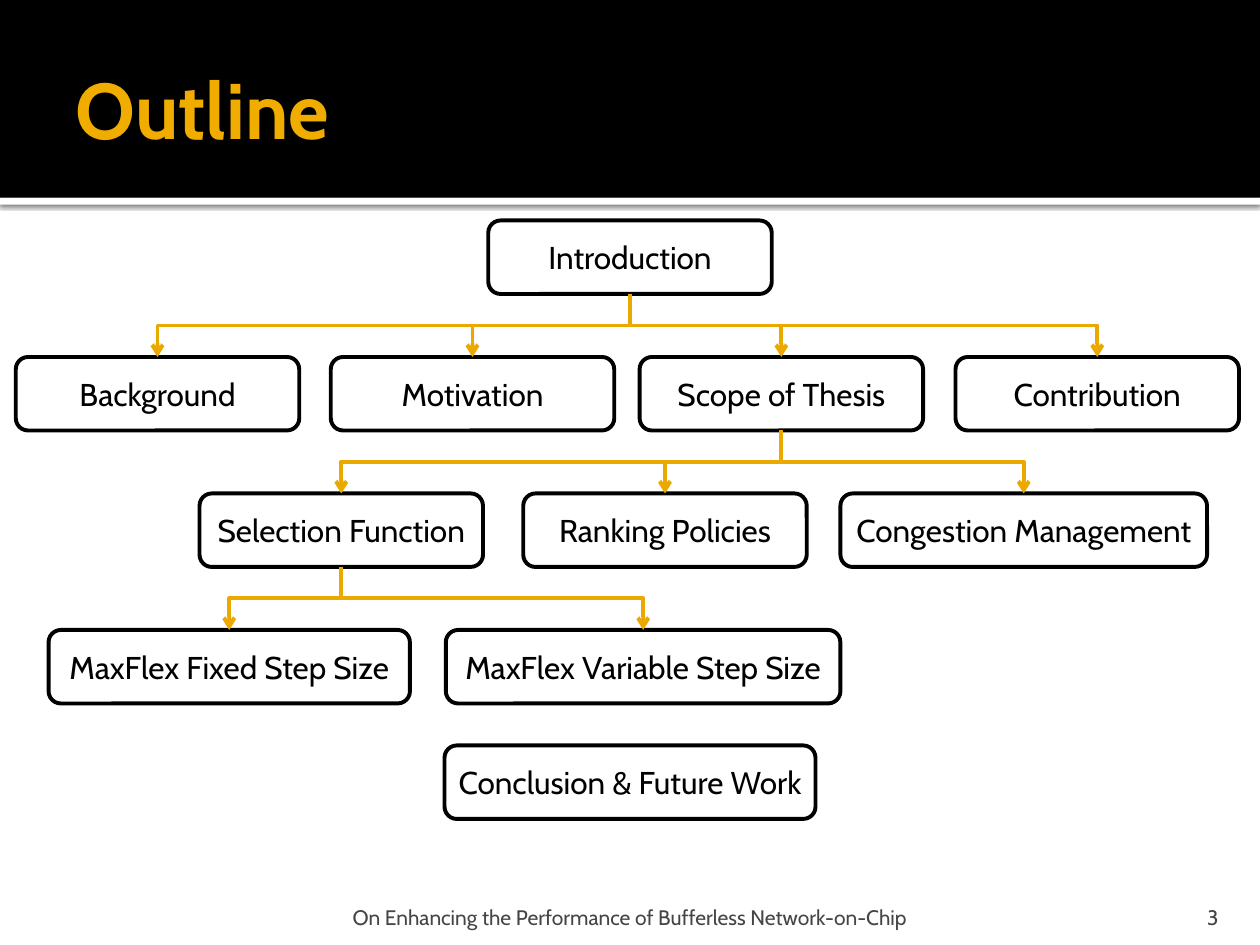
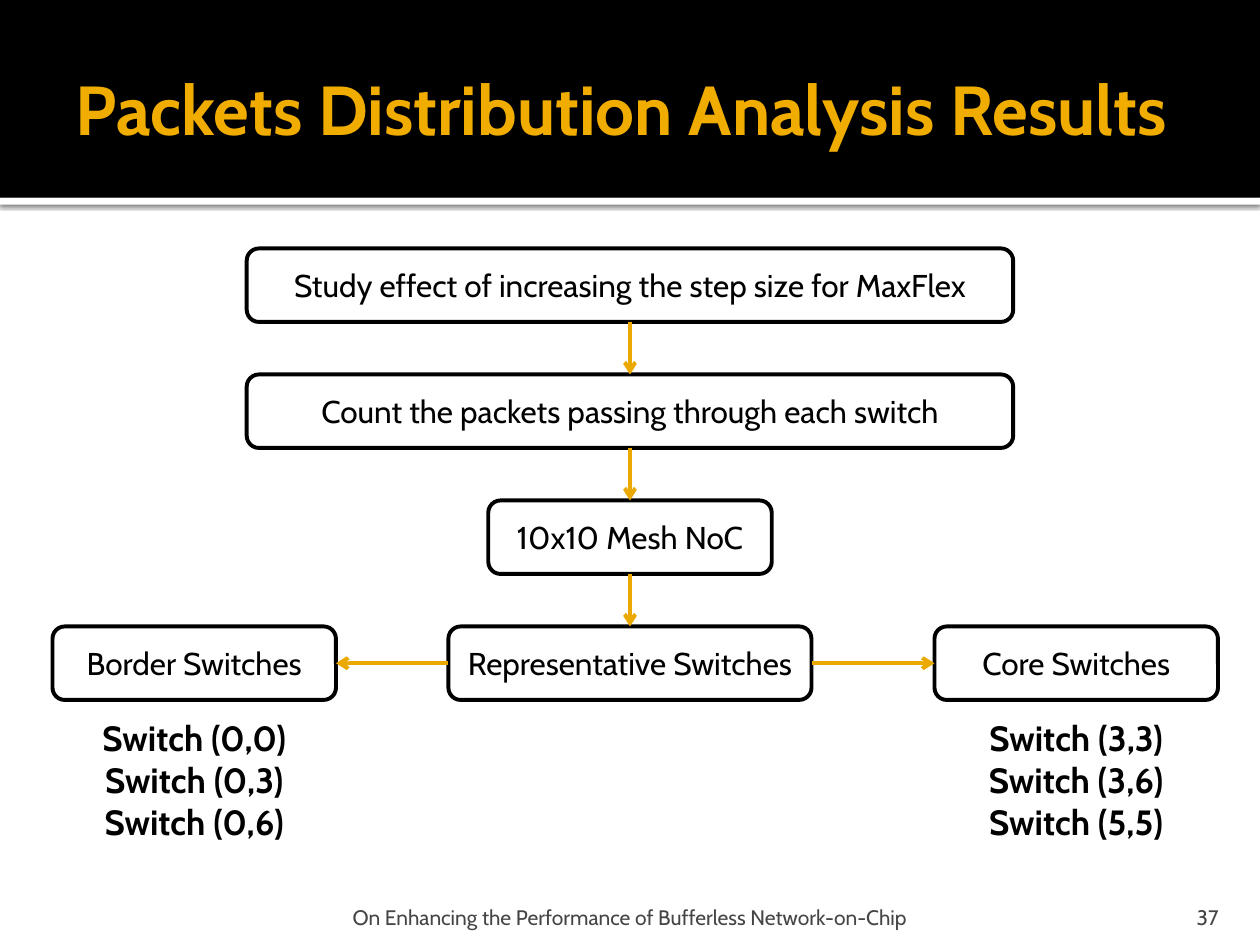
from collections import namedtuple
from dataclasses import dataclass

from lxml.etree import SubElement as Sub
from pptx import Presentation
from pptx.dml.color import RGBColor as Color
from pptx.enum.shapes import MSO_CONNECTOR as Link, MSO_SHAPE as Form
from pptx.enum.text import MSO_ANCHOR as Anchor, MSO_AUTO_SIZE as Fit, PP_ALIGN as Align
from pptx.oxml.ns import qn
from pptx.util import Pt

Box = namedtuple("Box", "x y w h")
TOP, LEFT, BOTTOM, RIGHT = range(4)


@dataclass(frozen=True)
class Theme:
    font: str = "Cabin"
    black: str = "000000"
    white: str = "FFFFFF"
    gold: str = "F0AD00"
    arrow: str = "EBA900"
    gray: str = "454545"
    head: float = 45
    node: float = 18
    list: float = 20
    foot: float = 12
    line: float = 2.25


look = Theme()
PAGE = Box(0, 0, 720, 540)
NODE = Box(0, 0, 162, 42)


def rgb(code):
    return Color.from_string(code)


def span(box):
    return [Pt(part) for part in box]


def write(frame, *lines, size, color=look.black, bold=False, align=Align.CENTER,
          anchor=Anchor.MIDDLE, inset=(7.2, 3.6, 7.2, 3.6)):
    frame.word_wrap = True
    frame.auto_size = Fit.NONE
    frame.vertical_anchor = anchor
    (frame.margin_left, frame.margin_top,
     frame.margin_right, frame.margin_bottom) = span(inset)
    for row, line in enumerate(lines):
        para = frame.add_paragraph() if row else frame.paragraphs[0]
        para.alignment = align
        run = para.add_run()
        run.text = line
        font = run.font
        font.name, font.size, font.bold = look.font, Pt(size), bold
        font.color.rgb = rgb(color)


def label(slide, box, *lines, **style):
    write(slide.shapes.add_textbox(*span(box)).text_frame, *lines, **style)


def block(slide, form, box, fill, edge=None):
    shape = slide.shapes.add_shape(form, *span(box))
    shape.shadow.inherit = False
    shape.fill.solid()
    shape.fill.fore_color.rgb = rgb(fill)
    if edge:
        shape.line.color.rgb = rgb(edge)
        shape.line.width = Pt(look.line)
    else:
        shape.line.fill.background()
    return shape


def bands(slide, master, box):
    strip = block(slide, Form.RECTANGLE, Box(box.x, box.y + box.h, box.w, 4), look.white)
    cast = strip._element.spPr.find(qn("a:effectLst"))
    blur = Sub(cast, qn("a:outerShdw"), blurRad=str(Pt(2.5)), dist=str(Pt(0.8)),
               dir="5400000", algn="t", rotWithShape="0")
    tint = Sub(blur, qn("a:srgbClr"), val=look.black)
    Sub(tint, qn("a:alpha"), val="60000")
    banner = block(slide, Form.RECTANGLE, box, look.black)
    for place, shape in enumerate((strip, banner)):
        shape._element.nvSpPr.cNvPr.set("id", str(20 + place))
        master.shapes._spTree.insert(2 + place, shape._element)


def header(slide, box, text, size):
    title = slide.shapes.title
    title.left, title.top, title.width, title.height = span(box)
    write(title.text_frame, text, size=size, color=look.gold, bold=True,
          align=Align.LEFT, inset=(7.2, 3.6, 3.6, 3.6))


def footer(slide, box, number):
    style = dict(size=look.foot, color=look.gray, anchor=Anchor.BOTTOM)
    label(slide, Box(box.x + 143.5, box.y, 433, box.h),
          "On Enhancing the Performance of Bufferless Network-on-Chip",
          inset=(3.6, 3.6, 3.6, 0), **style)
    label(slide, Box(box.x + 646, box.y, 57.5, box.h), number,
          align=Align.RIGHT, inset=(7.2, 3.6, 7.2, 0), **style)


def node(slide, box, text, mid, width=NODE.w, top=0):
    spot = Box(box.x + mid - width / 2, box.y + top, width, NODE.h)
    shape = block(slide, Form.ROUNDED_RECTANGLE, spot, look.white, look.black)
    write(shape.text_frame, text, size=look.node, inset=(2, 3.6, 2, 3.6))
    return shape


def bend(wire):
    across = wire.end_x - wire.begin_x
    down = wire.end_y - wire.begin_y
    mid_x = (wire.begin_x + wire.end_x) // 2
    mid_y = (wire.begin_y + wire.end_y) // 2
    wide = abs(across)
    wire.left, wire.top = mid_x - down // 2, mid_y - wide // 2
    wire.width, wire.height = down, wide
    frame = wire._element.spPr.find(qn("a:xfrm"))
    frame.set("rot", "16200000" if across > 0 else "5400000")
    frame.set("flipH", "1" if across > 0 else "0")
    frame.set("flipV", "0")


def join(slide, start, end, out=BOTTOM, into=TOP, kind=Link.STRAIGHT):
    wire = slide.shapes.add_connector(kind, 0, 0, 0, 0)
    wire.begin_connect(start, out)
    wire.end_connect(end, into)
    if kind == Link.ELBOW:
        bend(wire)
    wire.line.color.rgb = rgb(look.arrow)
    wire.line.width = Pt(look.line)
    Sub(wire.line._get_or_add_ln(), qn("a:tailEnd"), type="arrow")
    Sub(wire._element.spPr, qn("a:effectLst"))


def tree(slide, box, rows, step):
    parent = None
    for level, (row, heir) in enumerate(rows):
        nodes = [node(slide, box, *item, top=level * step) for item in row]
        if parent is not None:
            for child in nodes:
                join(slide, parent, child, kind=Link.ELBOW)
        parent = nodes[heir]


def flow(slide, box, steps, sides, step):
    chain = [node(slide, box, *item, top=row * step) for row, item in enumerate(steps)]
    for start, end in zip(chain, chain[1:]):
        join(slide, start, end)
    low = (len(steps) - 1) * step
    for text, mid, out, into, items in sides:
        side = node(slide, box, text, mid, top=low)
        join(slide, chain[-1], side, out, into)
        label(slide, Box(box.x + mid - 59, box.y + low + 48, 118, 80), *items,
              size=look.list, bold=True, anchor=Anchor.TOP,
              inset=(2, 3.6, 2, 3.6))


def page(deck, text, number, size=look.head):
    slide = deck.slides.add_slide(deck.slide_layouts[5])
    header(slide, Box(36, 12, 648, 99), text, size)
    footer(slide, Box(PAGE.x, 510, PAGE.w, 21.5), number)
    return slide


def outline(deck):
    slide = page(deck, "Outline", "3")
    area = Box(0, 126, PAGE.w, 342)
    rows = [
        ([("Introduction", 360)], 0),
        ([("Background", 90), ("Motivation", 270),
          ("Scope of Thesis", 446.5), ("Contribution", 627)], 2),
        ([("Selection Function", 195), ("Ranking Policies", 380),
          ("Congestion Management", 585, 209.5)], 0),
        ([("MaxFlex Fixed Step Size", 131, 206.5),
          ("MaxFlex Variable Step Size", 367.5, 225.5)], 0),
    ]
    tree(slide, area, rows, step=78)
    node(slide, area, "Conclusion & Future Work", 360, 212, top=300)
    return slide


def results(deck):
    slide = page(deck, "Packets Distribution Analysis Results", "37", 39.6)
    steps = [
        ("Study effect of increasing the step size for MaxFlex", 360, 438),
        ("Count the packets passing through each switch", 360, 438),
        ("10x10 Mesh NoC", 360),
        ("Representative Switches", 360, 207.5),
    ]
    sides = [
        ("Border Switches", 111, LEFT, RIGHT,
         ("Switch (0,0)", "Switch (0,3)", "Switch (0,6)")),
        ("Core Switches", 615, RIGHT, LEFT,
         ("Switch (3,3)", "Switch (3,6)", "Switch (5,5)")),
    ]
    flow(slide, Box(0, 142, PAGE.w, 344), steps, sides, step=72)


def main():
    deck = Presentation()
    deck.slide_width, deck.slide_height = Pt(PAGE.w), Pt(PAGE.h)
    first = outline(deck)
    bands(first, deck.slide_master, Box(0, 0, PAGE.w, 113))
    results(deck)
    deck.save("out.pptx")


if __name__ == "__main__":
    main()
